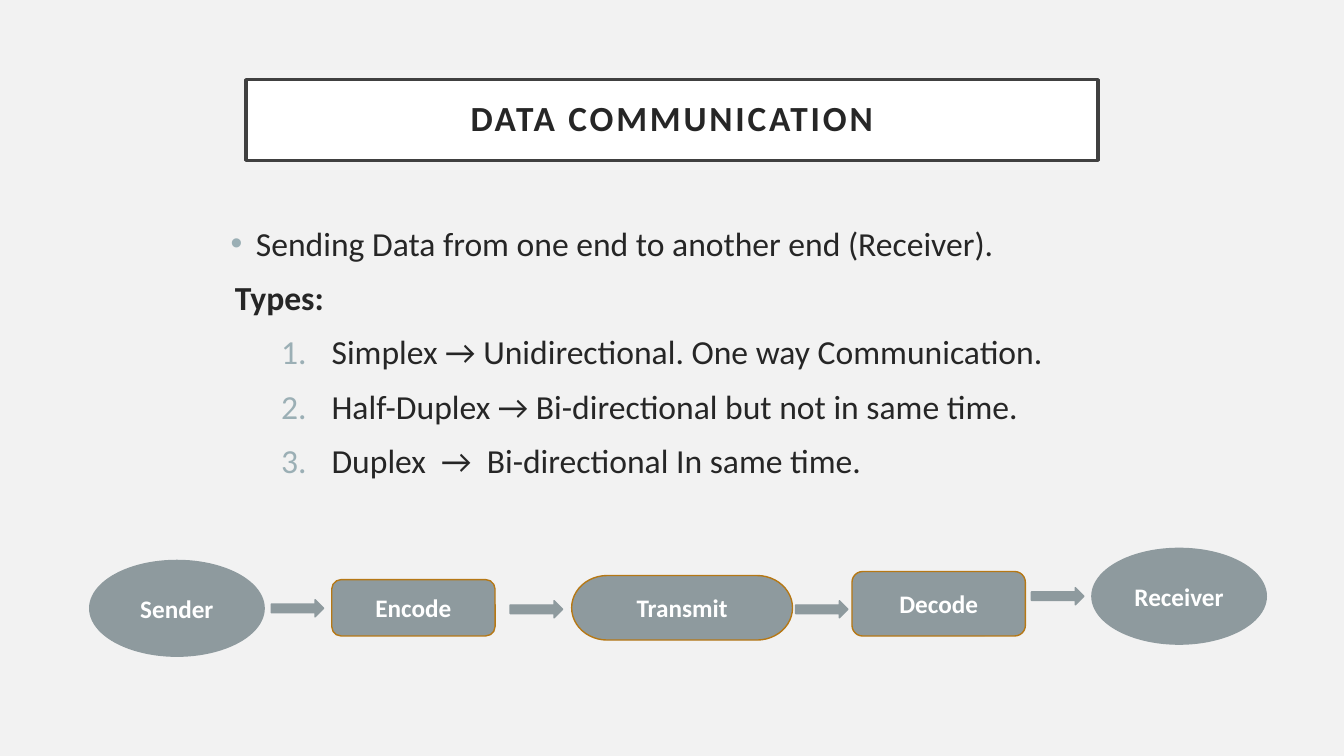
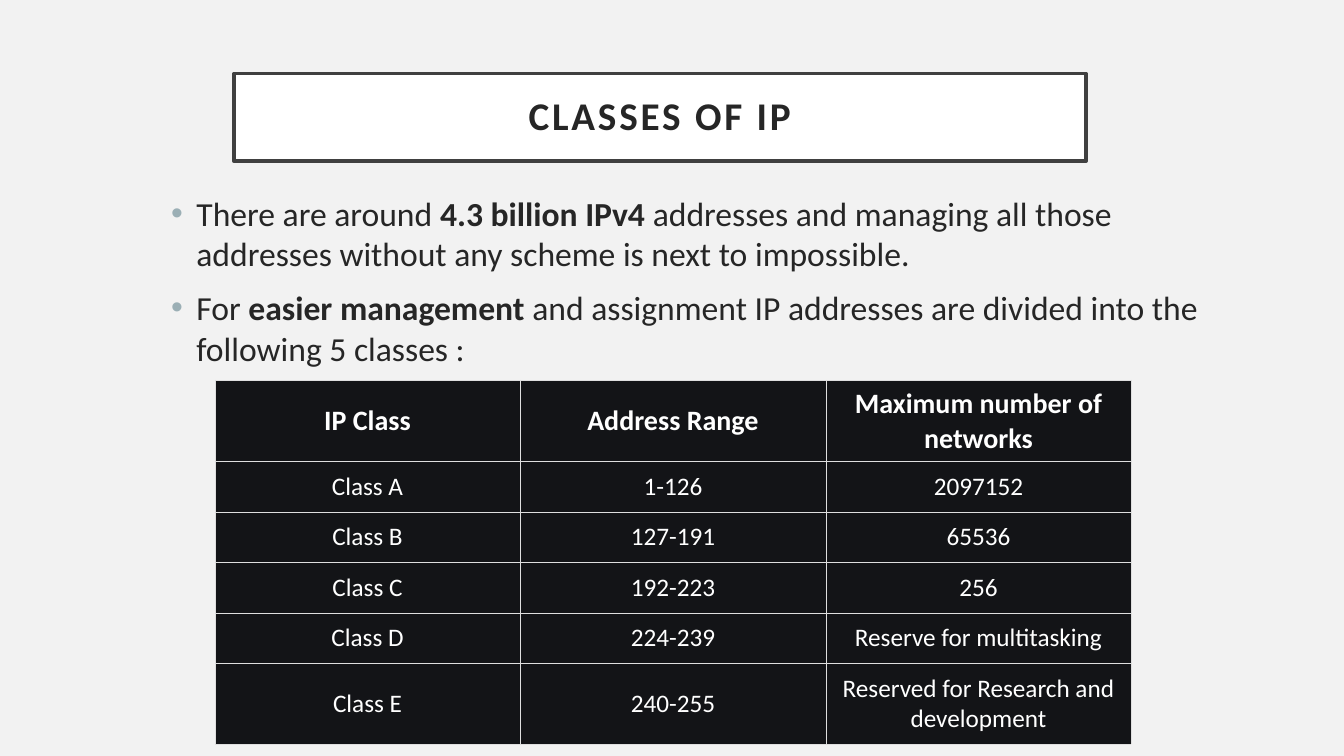
from dataclasses import dataclass
from typing import Any

from lxml import etree
from pptx import Presentation
from pptx.dml.color import RGBColor
from pptx.enum.shapes import MSO_SHAPE
from pptx.enum.text import MSO_ANCHOR, MSO_AUTO_SIZE, PP_ALIGN
from pptx.oxml.ns import qn
from pptx.slide import Slide
from pptx.util import Inches, Length, Pt

CENTER = PP_ALIGN.CENTER
MIDDLE = MSO_ANCHOR.MIDDLE
NO_AUTOFIT = MSO_AUTO_SIZE.NONE
RECTANGLE = MSO_SHAPE.RECTANGLE
ELLIPSE = MSO_SHAPE.OVAL
ROUNDED = MSO_SHAPE.ROUNDED_RECTANGLE
TERMINATOR = MSO_SHAPE.FLOWCHART_TERMINATOR
RIGHT_ARROW = MSO_SHAPE.RIGHT_ARROW
TITLE_ONLY = 5


@dataclass(frozen=True)
class Theme:
    font: str = "Calibri"
    background: str = "F2F2F2"
    white: str = "FFFFFF"
    text: str = "262626"
    title_line: str = "404040"
    bullet: str = "9BAFB5"
    node: str = "8E9A9E"
    node_line: str = "B67815"
    table_fill: str = "131417"
    table_line: str = "DFDFDF"
    body_size: float = 24
    header_size: float = 20
    label_size: float = 18


THEME = Theme()


@dataclass(frozen=True)
class Box:
    left: float
    top: float
    width: float
    height: float

    def lengths(self) -> tuple[Length, ...]:
        return tuple(map(Inches, (self.left, self.top, self.width, self.height)))


@dataclass(frozen=True)
class Span:
    text: str
    bold: bool = False


@dataclass(frozen=True)
class Item:
    spans: tuple[Span, ...]
    margin: float = 0.25
    hanging: float = 0.25
    marker: str = "buChar"


@dataclass(frozen=True)
class Node:
    label: str
    kind: Any
    box: Box
    line: str


MARKERS = {
    "buChar": {"char": "•"},
    "buAutoNum": {"type": "arabicPeriod"},
}

FLOW = (
    Node("Sender", ELLIPSE, Box(0.89, 5.56, 1.73, 0.95), THEME.node),
    Node("Encode", ROUNDED, Box(3.29, 5.75, 1.62, 0.56), THEME.node_line),
    Node("Transmit", TERMINATOR, Box(5.67, 5.71, 2.19, 0.64), THEME.node_line),
    Node("Decode", ROUNDED, Box(8.45, 5.67, 1.72, 0.64), THEME.node_line),
    Node("Receiver", ELLIPSE, Box(10.83, 5.44, 1.73, 0.95), THEME.node),
)
ARROWS = ((2.69, 5.95), (5.06, 5.96), (7.89, 5.96), (10.23, 5.83))

TYPES = (
    "Simplex → Unidirectional. One way Communication.",
    "Half-Duplex → Bi-directional but not in same time.",
    "Duplex  →  Bi-directional In same time.",
)
COMMUNICATION_ITEMS = (
    Item((Span("Sending Data from one end to another end (Receiver)."),), margin=0.5),
    Item((Span("Types:", True),), margin=0.29, hanging=0, marker=""),
    *(Item((Span(text),), 1.25, 0.5, "buAutoNum") for text in TYPES),
)
CLASS_ITEMS = (
    Item((
        Span("There are around "),
        Span("4.3 billion IPv4 ", True),
        Span("addresses and managing all those addresses without any scheme is next to impossible."),
    )),
    Item((
        Span("For "),
        Span("easier management ", True),
        Span("and assignment IP addresses are divided into the following 5 classes :"),
    )),
)
CLASS_ROWS = (
    ("IP Class", "Address Range", "Maximum number of networks"),
    ("Class A", "1-126", "2097152"),
    ("Class B", "127-191", "65536"),
    ("Class C", "192-223", "256"),
    ("Class D", "224-239", "Reserve for multitasking"),
    ("Class E", "240-255", "Reserved for Research and development"),
)
ROW_HEIGHTS = (0.74, 0.49, 0.49, 0.49, 0.49, 0.74)
COLUMN_WIDTH = 3.03


def apply_format(target: Any, values: dict[str, Any]) -> None:
    for name, value in values.items():
        setattr(target, name, value)


def add_run(paragraph: Any, text: str, size: float, color: str, bold: bool = False) -> Any:
    run = paragraph.add_run()
    run.text = text
    apply_format(run.font, {"name": THEME.font, "size": Pt(size), "bold": bold})
    run.font.color.rgb = RGBColor.from_string(color)
    return run


def paint(shape: Any, fill: str, line: str, width: float) -> None:
    shape.fill.solid()
    shape.fill.fore_color.rgb = RGBColor.from_string(fill)
    shape.line.color.rgb = RGBColor.from_string(line)
    shape.line.width = Pt(width)


def add_titled_slide(presentation: Any, title: str, box: Box, size: float) -> Slide:
    slide = presentation.slides.add_slide(presentation.slide_layouts[TITLE_ONLY])
    shape = slide.shapes.title
    apply_format(shape, dict(zip(("left", "top", "width", "height"), box.lengths())))
    paint(shape, THEME.white, THEME.title_line, 2.5)
    inset = Inches(0.2)
    apply_format(shape.text_frame, {
        "auto_size": NO_AUTOFIT, "vertical_anchor": MIDDLE, "word_wrap": True,
        "margin_left": inset, "margin_right": inset,
        "margin_top": inset, "margin_bottom": inset,
    })
    paragraph = shape.text_frame.paragraphs[0]
    apply_format(paragraph, {"alignment": CENTER, "line_spacing": 0.9})
    run = add_run(paragraph, title, size, THEME.text, True)
    run.font._element.set("spc", "200")
    return slide


def add_marker(paragraph: Any, item: Item) -> None:
    properties = paragraph._p.get_or_add_pPr()
    properties.set("marL", str(Inches(item.margin)))
    properties.set("indent", str(-Inches(item.hanging)))
    if item.marker:
        color = etree.SubElement(properties, qn("a:buClr"))
        etree.SubElement(color, qn("a:srgbClr"), val=THEME.bullet)
        etree.SubElement(properties, qn("a:buFont"), typeface=(
            "Arial" if item.marker == "buChar" else THEME.font))
        etree.SubElement(properties, qn(f"a:{item.marker}"), MARKERS[item.marker])


def add_body(slide: Slide, box: Box, items: tuple[Item, ...]) -> None:
    frame = slide.shapes.add_textbox(*box.lengths()).text_frame
    frame.word_wrap = True
    for index, item in enumerate(items):
        paragraph = frame.add_paragraph() if index else frame.paragraphs[0]
        add_marker(paragraph, item)
        if index:
            paragraph.space_before = Pt(10)
        for span in item.spans:
            add_run(paragraph, span.text, THEME.body_size, THEME.text, span.bold)


def add_flow_shape(slide: Slide, kind: Any, box: Box, line: str) -> Any:
    shape = slide.shapes.add_shape(kind, *box.lengths())
    shape.shadow.inherit = False
    paint(shape, THEME.node, line, 1)
    return shape


def add_flow(slide: Slide) -> None:
    for node in FLOW:
        shape = add_flow_shape(slide, node.kind, node.box, node.line)
        shape.text_frame.vertical_anchor = MIDDLE
        paragraph = shape.text_frame.paragraphs[0]
        paragraph.alignment = CENTER
        add_run(paragraph, node.label, THEME.label_size, THEME.white, True)
    for left, top in ARROWS:
        add_flow_shape(slide, RIGHT_ARROW, Box(left, top, 0.52, 0.17), THEME.node)


def add_borders(cell: Any) -> None:
    properties = cell._tc.get_or_add_tcPr()
    for index, side in enumerate(("lnL", "lnR", "lnT", "lnB")):
        line = etree.Element(qn(f"a:{side}"), w=str(Pt(0.15)))
        fill = etree.SubElement(line, qn("a:solidFill"))
        etree.SubElement(fill, qn("a:srgbClr"), val=THEME.table_line)
        properties.insert(index, line)


def fill_cell(cell: Any, text: str, header: bool) -> None:
    side, edge = Inches(0.07), Inches(0.07 if header else 0.1)
    apply_format(cell, {
        "vertical_anchor": MIDDLE, "margin_left": side, "margin_right": side,
        "margin_top": edge, "margin_bottom": edge,
    })
    cell.fill.solid()
    cell.fill.fore_color.rgb = RGBColor.from_string(THEME.table_fill)
    add_borders(cell)
    paragraph = cell.text_frame.paragraphs[0]
    paragraph.alignment = CENTER
    size = THEME.header_size if header else THEME.label_size
    add_run(paragraph, text, size, THEME.white, header)


def add_class_table(slide: Slide) -> None:
    columns = len(CLASS_ROWS[0])
    box = Box(2.13, 3.77, COLUMN_WIDTH * columns, sum(ROW_HEIGHTS))
    table = slide.shapes.add_table(len(CLASS_ROWS), columns, *box.lengths()).table
    apply_format(table, {"first_row": True, "horz_banding": False})
    for column in table.columns:
        column.width = Inches(COLUMN_WIDTH)
    for row_index, (texts, height) in enumerate(zip(CLASS_ROWS, ROW_HEIGHTS)):
        table.rows[row_index].height = Inches(height)
        for column_index, text in enumerate(texts):
            fill_cell(table.cell(row_index, column_index), text, row_index == 0)


def main() -> None:
    presentation = Presentation()
    apply_format(presentation, {"slide_width": Inches(13.33), "slide_height": Inches(7.5)})
    background = presentation.slide_master.background.fill
    background.solid()
    background.fore_color.rgb = RGBColor.from_string(THEME.background)

    communication = add_titled_slide(
        presentation, "DATA COMMUNICATION", Box(2.44, 0.79, 8.45, 0.8), 25.2)
    add_body(communication, Box(1.94, 2.16, 9.65, 4.34), COMMUNICATION_ITEMS)
    add_flow(communication)

    classes = add_titled_slide(
        presentation, "CLASSES OF IP", Box(2.32, 0.73, 8.45, 0.87), 28)
    add_body(classes, Box(1.6, 1.86, 10.54, 4.62), CLASS_ITEMS)
    add_class_table(classes)

    presentation.save("out.pptx")


if __name__ == "__main__":
    main()
